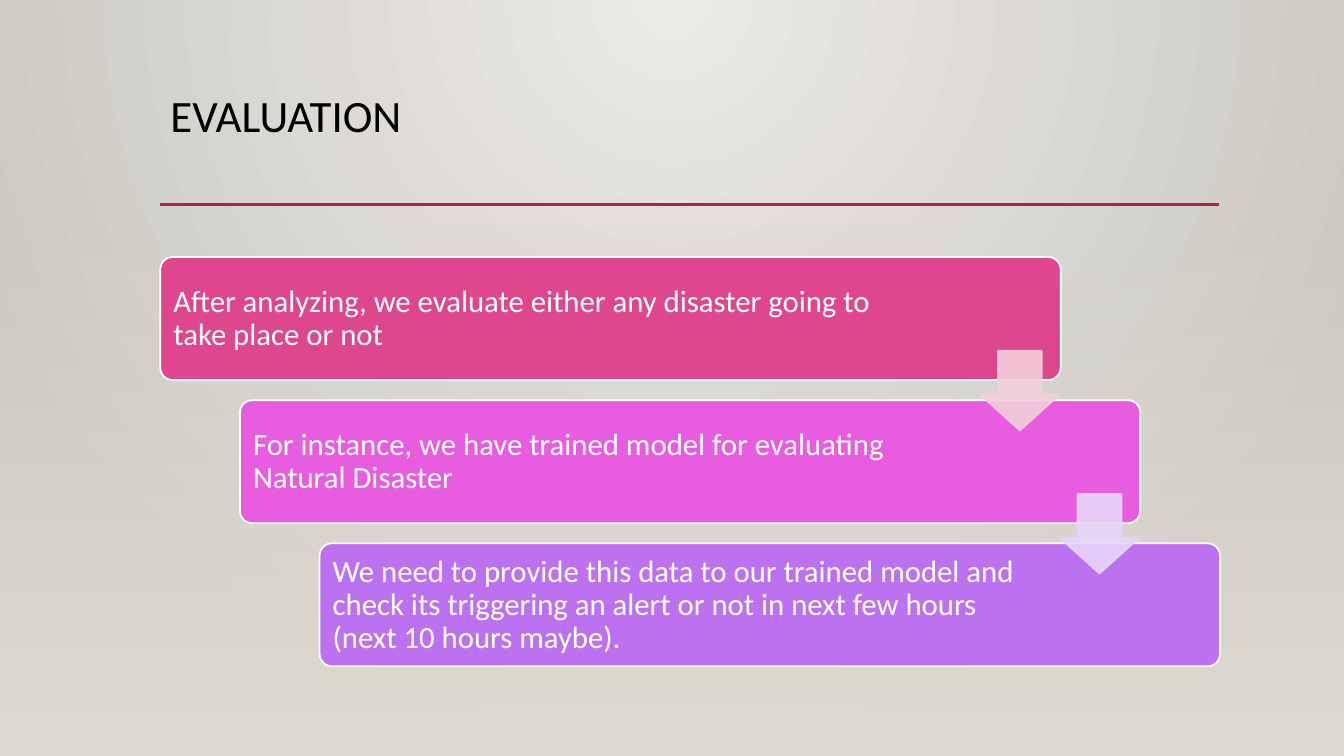
from lxml.etree import SubElement as Sub
from pptx import Presentation
from pptx.dml.color import RGBColor as RGB
from pptx.enum.shapes import MSO_CONNECTOR as Conn, MSO_SHAPE as Shape
from pptx.enum.text import MSO_ANCHOR as Anchor, PP_ALIGN as Align
from pptx.oxml.ns import qn
from pptx.util import Inches, Pt

FONT = "Calibri"
COLORS = {
    "glow": "ECEAE7", "edge": "CAC7C1", "fade": "DFDBD5", "rule": "B71E42",
    "title": "000000", "white": "FFFFFF",
    "pink": "DE478E", "magenta": "E85CE0", "violet": "BC72F0",
    "pale_pink": "F2CFDB", "pale_violet": "E7D5F9",
}
STEPS = [
    ("After analyzing, we evaluate either any disaster going to take place or not", "pink", 7.61),
    ("For instance, we have trained model for evaluating Natural Disaster", "magenta", 7.27),
    ("We need to provide this data to our trained model and check its triggering an alert "
     "or not in next few hours (next 10 hours maybe).", "violet", 7.27),
]
ARROWS = ["pale_pink", "pale_violet"]
LEFT, TOP = 1.59, 2.55
STEP_X, STEP_Y = 0.79, 1.42


class Deck:
    """Draws styled elements on the current slide."""

    def __init__(self, prs):
        self.s = prs.slides.add_slide(prs.slide_layouts[5])

    def color(self, name):
        return RGB.from_string(COLORS[name])

    def gradient(self, fill, start, end):
        fill.gradient()
        for stop, name in zip(fill.gradient_stops, (start, end)):
            stop.color.rgb = self.color(name)

    def background(self):
        self.gradient(self.s.background.fill, "glow", "edge")
        grad = self.s.element.find(".//" + qn("a:gradFill"))
        grad.remove(grad.find(qn("a:lin")))
        circle = Sub(grad, qn("a:path"), path="circle")
        Sub(circle, qn("a:fillToRect"), l="43000", t="0", r="43000", b="100000")

    def fade(self, x, y, w, h):
        sp = self.s.shapes.add_shape(Shape.RECTANGLE, *map(Inches, (x, y, w, h)))
        sp.shadow.inherit = False
        sp.line.fill.background()
        self.gradient(sp.fill, "fade", "fade")
        sp.fill.gradient_angle = 270
        first = sp.element.find(".//" + qn("a:gs"))
        Sub(first[0], qn("a:alpha"), val="0")

    def text(self, tf, text, size, name):
        tf.word_wrap = True
        tf.text = text
        p = tf.paragraphs[0]
        p.alignment = Align.LEFT
        p.line_spacing = 0.9
        font = p.runs[0].font
        font.name, font.size = FONT, Pt(size)
        font.color.rgb = self.color(name)

    def title(self, text, x, y, w, h):
        sp = self.s.shapes.title
        sp.left, sp.top, sp.width, sp.height = map(Inches, (x, y, w, h))
        sp.text_frame.vertical_anchor = Anchor.TOP
        self.text(sp.text_frame, text, 32, "title")

    def rule(self, x, y, w):
        line = self.s.shapes.add_connector(Conn.STRAIGHT, *map(Inches, (x, y, x + w, y)))
        line.line.color.rgb = self.color("rule")
        line.line.width = Pt(2.5)
        Sub(line.element.spPr, qn("a:effectLst"))

    def shape(self, kind, box, adjust, fill, line):
        sp = self.s.shapes.add_shape(kind, *map(Inches, box))
        sp.shadow.inherit = False
        for i, value in enumerate(adjust):
            sp.adjustments[i] = value
        sp.fill.solid()
        sp.fill.fore_color.rgb = self.color(fill)
        sp.line.color.rgb = self.color(line)
        sp.line.width = Pt(1.25)
        return sp

    def step(self, x, y, text, fill, text_width):
        self.shape(Shape.ROUNDED_RECTANGLE, (x, y, 8.93, 1.22), [0.1], fill, "white")
        box = (x + 0.04, y + 0.04, text_width, 1.15)
        tf = self.s.shapes.add_textbox(*map(Inches, box)).text_frame
        tf.margin_left = tf.margin_right = tf.margin_top = tf.margin_bottom = Inches(0.09)
        tf.vertical_anchor = Anchor.MIDDLE
        self.text(tf, text, 22, "white")

    def arrow(self, x, y, fill):
        sp = self.shape(Shape.DOWN_ARROW, (x, y, 0.79, 0.79), [0.55, 0.45], fill, fill)
        for clr in sp.element.spPr.iter(qn("a:srgbClr")):
            Sub(clr, qn("a:alpha"), val="90000")


def main():
    prs = Presentation()
    prs.slide_width, prs.slide_height = Inches(13.33), Inches(7.5)
    deck = Deck(prs)
    deck.background()
    deck.title("EVALUATION", LEFT, 0.88, 10.5, 1.15)
    deck.rule(LEFT, 2.03, 10.5)
    deck.fade(0, 2.21, 13.33, 5.29)
    for i, (text, fill, width) in enumerate(STEPS):
        deck.step(LEFT + i * STEP_X, TOP + i * STEP_Y, text, fill, width)
    for i, fill in enumerate(ARROWS):
        deck.arrow(9.72 + i * STEP_X, 3.48 + i * STEP_Y, fill)
    prs.save("out.pptx")


if __name__ == "__main__":
    main()
